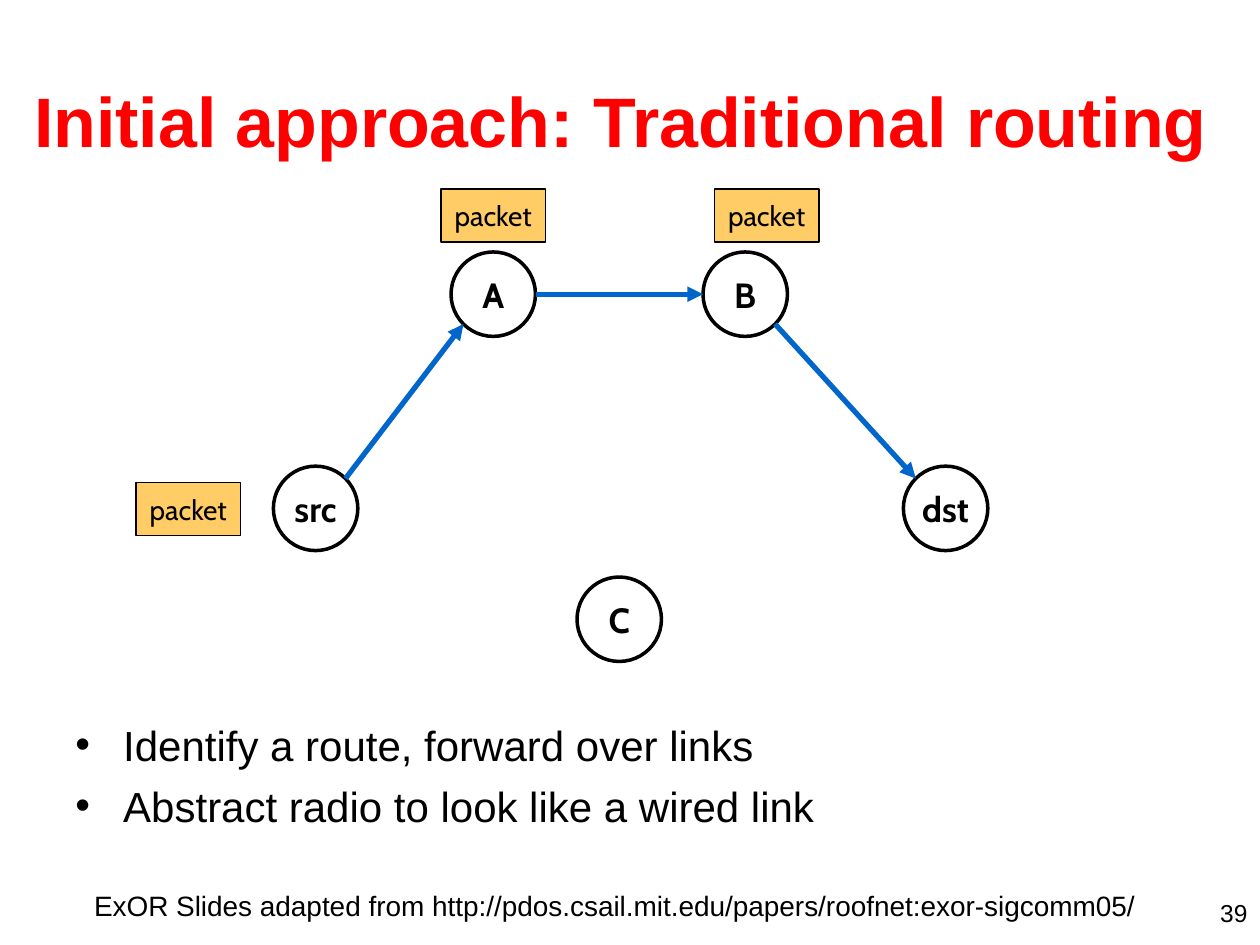
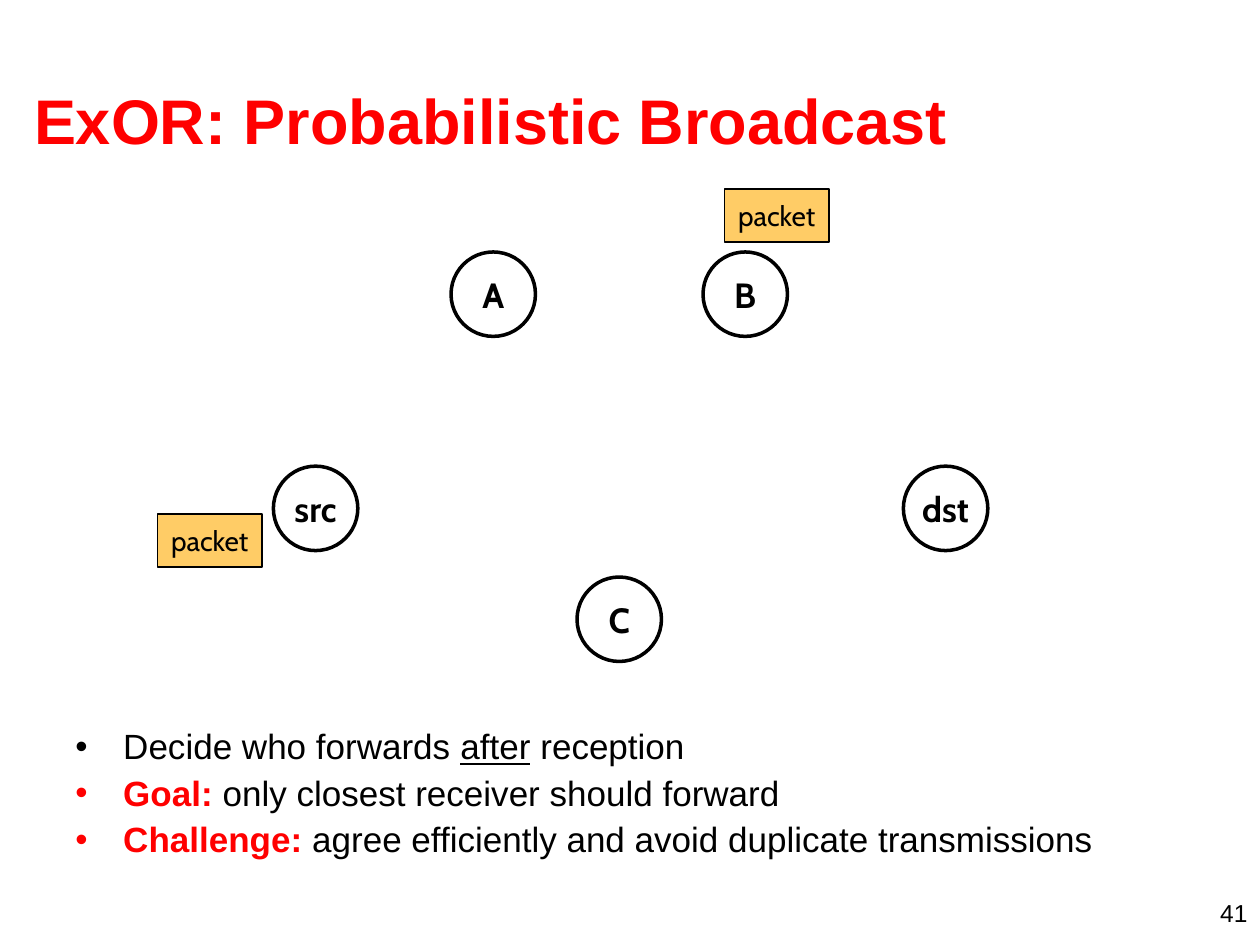
from dataclasses import dataclass
from math import hypot
from typing import NamedTuple

from lxml import etree
from pptx import Presentation, util as u
from pptx.dml.color import RGBColor
from pptx.enum import shapes, text
from pptx.oxml import ns

COLORS = {"ink": "000000", "title": "FF0000", "packet": "FFCC66", "link": "0066CC"}
SANS, LABEL = "Arial", "Cabin"
SIZE = 0.67  # node diameter
PACKET = (0.83, 0.42)
LEFT, MID, RIGHT = text.PP_ALIGN.LEFT, text.PP_ALIGN.CENTER, text.PP_ALIGN.RIGHT


class Run(NamedTuple):
    text: str
    color: str = "ink"
    bold: bool = False
    line: bool = False


class Link(NamedTuple):
    """An arrow; each way points from a node's centre to its rim."""
    start: str
    out: tuple[int, int]
    end: str
    into: tuple[int, int]


@dataclass
class Page:
    title: str
    title_size: int
    number: str
    packets: list[tuple[float, float]]
    body: list[list[Run]]
    body_box: tuple[float, float, float, float]
    body_size: int
    gap: int
    spacing: float = 1.0
    links: tuple[Link, ...] = ()
    credit: str = ""


NODES = {"src": (2.17, 3.7), "A": (3.58, 2), "B": (5.58, 2),
         "dst": (7.17, 3.7), "C": (4.58, 4.58)}

PAGES = [
    Page("Initial approach: Traditional routing", 40, "39",
         [(3.5, 1.5), (1.08, 3.83), (5.67, 1.5)],
         [[Run("Identify a route, forward over links")],
          [Run("Abstract radio to look like a wired link")]],
         (0.5, 5.66, 9, 1.34), 24, 6,
         links=(Link("src", (1, -1), "A", (-1, 1)),
                Link("A", (1, 0), "B", (-1, 0)),
                Link("B", (1, 1), "dst", (-1, -1))),
         credit="ExOR Slides adapted from "
                "http://pdos.csail.mit.edu/papers/roofnet:exor-sigcomm05/"),
    Page("ExOR: Probabilistic Broadcast", 36, "41",
         [(1.25, 4.08), (5.75, 1.5)],
         [[Run("Decide who forwards "), Run("after", line=True), Run(" reception")],
          [Run("Goal:", "title", True), Run(" only closest receiver should forward")],
          [Run("Challenge:", "title", True),
           Run(" agree efficiently and avoid duplicate transmissions")]],
         (0.5, 5.74, 9.5, 1.35), 20, 5, spacing=0.9),
]


def rgb(name: str) -> RGBColor:
    return RGBColor.from_string(COLORS[name])


def box(*sides: float) -> list[u.Length]:
    return [u.Inches(side) for side in sides]


def bullet(para, color: str) -> None:
    props = para._p.get_or_add_pPr()
    props.set("marL", str(u.Inches(0.38)))
    props.set("indent", str(-u.Inches(0.38)))
    tint = etree.SubElement(props, ns.qn("a:buClr"))
    etree.SubElement(tint, ns.qn("a:srgbClr"), val=COLORS[color])
    etree.SubElement(props, ns.qn("a:buFont"), typeface=SANS)
    etree.SubElement(props, ns.qn("a:buChar"), char="•")


def write(shape, paras: list[list[Run]], *, size: int, font: str = SANS,
          align=LEFT, anchor=text.MSO_ANCHOR.TOP, wrap: bool = True,
          bullets: bool = False, gap: int = 0, spacing: float = 1.0) -> None:
    frame = shape.text_frame
    frame.word_wrap = wrap
    frame.auto_size = text.MSO_AUTO_SIZE.NONE
    frame.vertical_anchor = anchor
    for i, runs in enumerate(paras):
        para = frame.add_paragraph() if i else frame.paragraphs[0]
        if bullets:
            bullet(para, runs[0].color)
        para.alignment = align
        para.line_spacing = spacing
        para.space_before = u.Pt(gap if i else 0)
        for part in runs:
            run = para.add_run()
            run.text = part.text
            face = run.font
            face.name, face.size = font, u.Pt(size)
            face.bold, face.underline = part.bold, part.line
            face.color.rgb = rgb(part.color)


def label(slide, kind, area: tuple, run: Run, size: int, width: float,
          fill: str = "") -> None:
    """Draw an outlined shape with a centred caption."""
    shape = slide.shapes.add_shape(kind, *box(*area))
    shape.shadow.inherit = False
    if fill:
        shape.fill.solid()
        shape.fill.fore_color.rgb = rgb(fill)
    else:
        shape.fill.background()
    shape.line.color.rgb = rgb("ink")
    shape.line.width = u.Pt(width)
    write(shape, [[run]], size=size, font=LABEL, align=MID,
          anchor=text.MSO_ANCHOR.MIDDLE, wrap=False)


def rim(node: str, way: tuple[int, int]) -> list[u.Length]:
    reach = SIZE / 2 / hypot(*way)
    return box(*(at + SIZE / 2 + step * reach for at, step in zip(NODES[node], way)))


def arrow(slide, link: Link) -> None:
    line = slide.shapes.add_connector(
        shapes.MSO_CONNECTOR.STRAIGHT,
        *rim(link.start, link.out), *rim(link.end, link.into))
    line.line.color.rgb = rgb("link")
    line.line.width = u.Pt(3)
    etree.SubElement(line.line._get_or_add_ln(), ns.qn("a:tailEnd"), type="triangle")
    etree.SubElement(line._element.spPr, ns.qn("a:effectLst"))


def note(slide, area: tuple, paras: list[list[Run]], **style) -> None:
    write(slide.shapes.add_textbox(*box(*area)), paras, **style)


def build(deck, page: Page) -> None:
    slide = deck.slides.add_slide(deck.slide_layouts[5])
    title = slide.shapes.title
    title.left, title.top, title.width, title.height = box(0.17, 0.32, 9.58, 1.25)
    write(title, [[Run(page.title, "title", True)]], size=page.title_size,
          anchor=text.MSO_ANCHOR.MIDDLE)
    for spot in page.packets:
        label(slide, shapes.MSO_SHAPE.RECTANGLE, (*spot, *PACKET),
              Run("packet"), 16, 0.75, "packet")
    for name, spot in NODES.items():
        label(slide, shapes.MSO_SHAPE.OVAL, (*spot, SIZE, SIZE),
              Run(name, bold=True), 20, 2)
    for link in page.links:
        arrow(slide, link)
    note(slide, page.body_box, page.body, size=page.body_size, bullets=True,
         gap=page.gap, spacing=page.spacing)
    if page.credit:
        note(slide, (0.42, 7, 8.92, 0.37), [[Run(page.credit)]], size=16, align=MID)
    note(slide, (7.67, 7.08, 2.33, 0.25), [[Run(page.number)]], size=14, align=RIGHT)


def main() -> None:
    deck = Presentation()
    deck.slide_width, deck.slide_height = box(10, 7.5)
    for page in PAGES:
        build(deck, page)
    deck.save("out.pptx")


if __name__ == "__main__":
    main()
